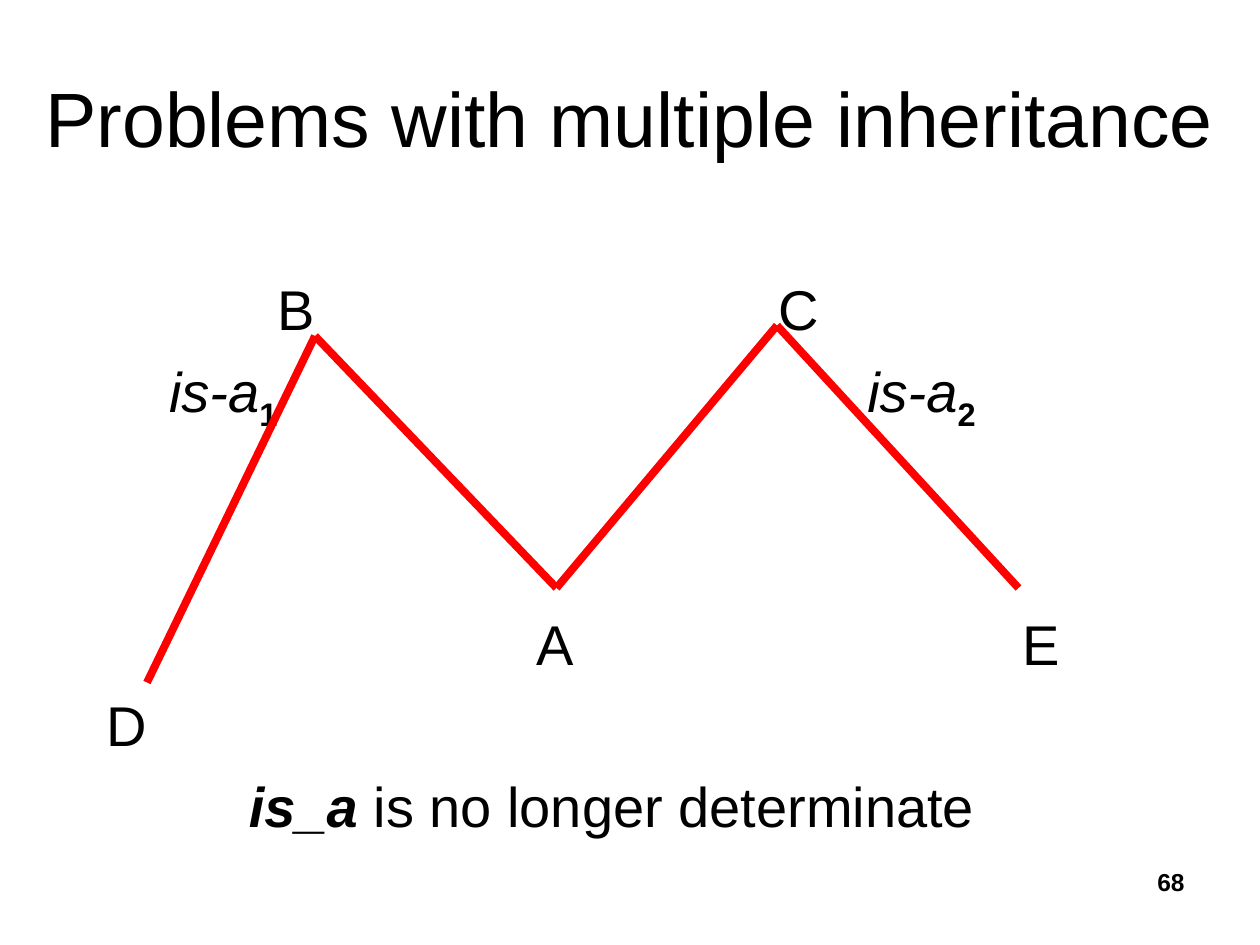
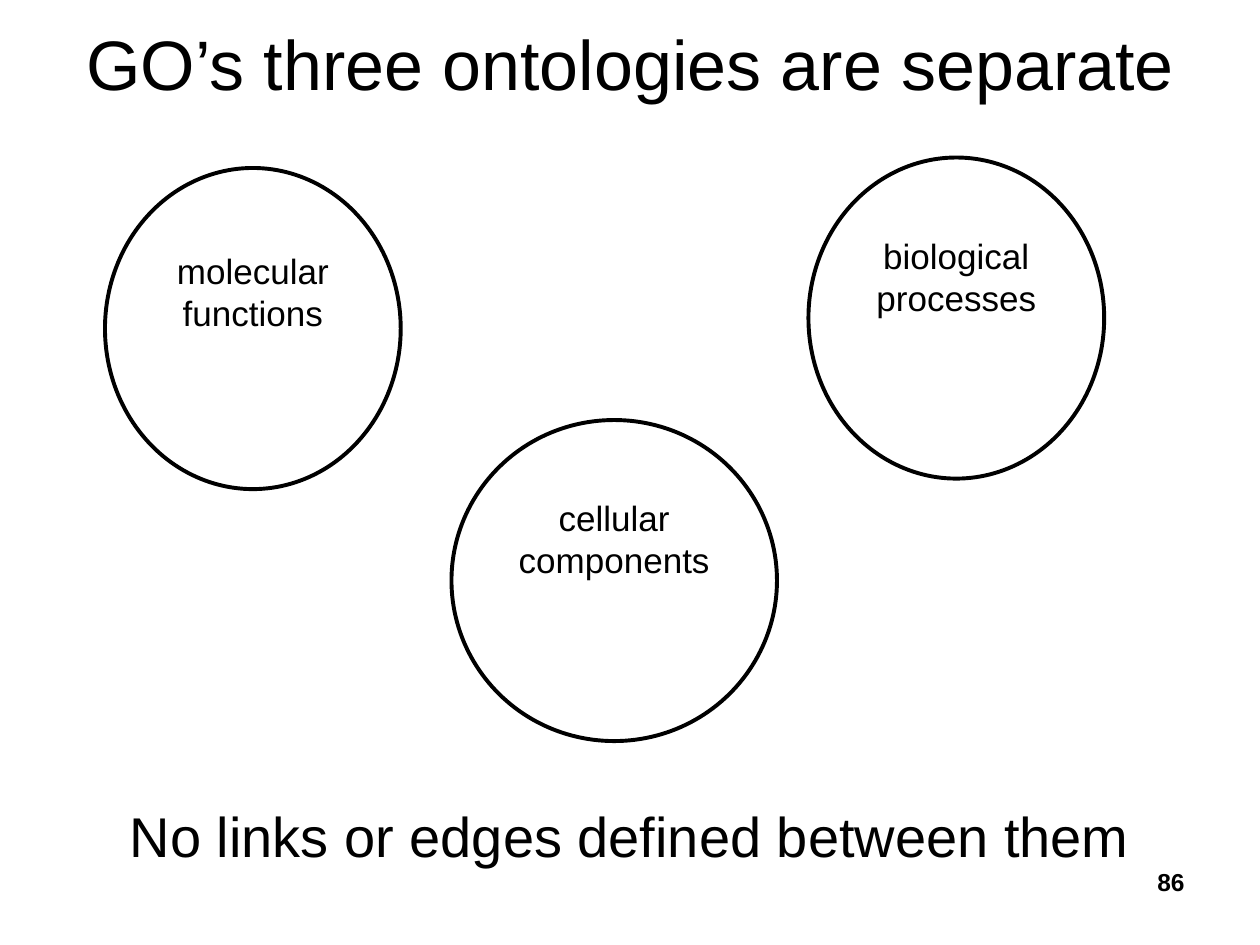
"""Build two slides: multiple inheritance problems and the separate GO ontologies."""
from pptx import Presentation
from pptx.dml.color import RGBColor
from pptx.enum.shapes import MSO_CONNECTOR as CONN, MSO_SHAPE as SHAPE
from pptx.enum.text import MSO_ANCHOR as ANCHOR, MSO_AUTO_SIZE as FIT, PP_ALIGN as ALIGN
from pptx.oxml.ns import qn
from pptx.util import Pt
from lxml.etree import SubElement

COLORS = {"text": "000000", "edge": "FF0000", "fill": "FFFFFF"}
RGB = {name: RGBColor.from_string(value) for name, value in COLORS.items()}
FONT = "Arial"


def place(sp, left, top, width, height):
    sp.left, sp.top, sp.width, sp.height = Pt(left), Pt(top), Pt(width), Pt(height)
    return sp


def write(tf, runs, size, align=ALIGN.LEFT, anchor=ANCHOR.TOP):
    tf.word_wrap, tf.auto_size, tf.vertical_anchor = True, FIT.NONE, anchor
    p = tf.paragraphs[0]
    p.alignment, p.space_before = align, Pt(0)
    for text, style in runs:
        r = p.add_run()
        r.text = text
        r.font.name, r.font.size = FONT, Pt(size)
        r.font.color.rgb = RGB["text"]
        r.font.bold, r.font.italic = "b" in style, "i" in style
        if "sub" in style:
            r.font._element.set("baseline", "-25000")
    return p


prs = Presentation()
prs.slide_width, prs.slide_height = Pt(720), Pt(540)

pages = [
    ("Problems with multiple inheritance", 44, (18, 21.6, 684, 90), "68",
     [("is_a ", "bi"), ("is no longer determinate", "")], (135, 437.5, 500, 46), ALIGN.LEFT),
    ("GO’s three ontologies are separate", 40, (36, 0, 648, 72), "86",
     [("No links or edges defined between them", "")], (36, 454.5, 648, 46), ALIGN.CENTER),
]
slides = []
for title, size, title_box, number, message, message_box, align in pages:
    s = prs.slides.add_slide(prs.slide_layouts[1])
    slides.append(s)
    sp = place(s.shapes.title, *title_box)
    write(sp.text_frame, [(title, "")], size, ALIGN.CENTER, ANCHOR.MIDDLE)

    sp = place(s.placeholders[1], *message_box)
    p = write(sp.text_frame, message, 32, align)
    pPr = p._p.get_or_add_pPr()
    pPr.set("marL", "0")
    pPr.set("indent", "0")
    SubElement(pPr, qn("a:buNone"))

    sp = s.shapes.add_textbox(Pt(516), Pt(492), Pt(168), Pt(37.5))
    write(sp.text_frame, [(number, "b")], 14, ALIGN.RIGHT)

inheritance, ontologies = slides

nodes = [("B", 169, 153.5), ("C", 456.5, 153.5), ("A", 317, 345), ("E", 595, 345), ("D", 72.5, 391)]
for name, center, top in nodes:
    sp = inheritance.shapes.add_textbox(Pt(center - 24), Pt(top), Pt(48), Pt(44))
    write(sp.text_frame, [(name, "")], 32, ALIGN.CENTER)

for index, left in (("1", 89.5), ("2", 488.5)):
    sp = inheritance.shapes.add_textbox(Pt(left), Pt(200), Pt(90), Pt(44))
    write(sp.text_frame, [("is-a", "i"), (index, "b sub")], 32)

ends = {"A": (318, 336), "B": (180, 192), "C": (444, 186), "D": (84, 390), "E": (582, 336)}
for start, end in ("BA", "CA", "BD", "CE"):
    edge = inheritance.shapes.add_connector(CONN.STRAIGHT, *map(Pt, ends[start] + ends[end]))
    edge.line.color.rgb, edge.line.width = RGB["edge"], Pt(4.5)
    SubElement(edge._element.spPr, qn("a:effectLst"))

circles = [
    ("molecular functions", 60, 96, 169, 19.5),
    ("cellular components", 258, 240, 186, 17),
    ("biological processes", 462, 90, 169, 17),
]
for text, left, top, width, inset in circles:
    sp = ontologies.shapes.add_shape(SHAPE.OVAL, Pt(left), Pt(top), Pt(width), Pt(183.5))
    sp.shadow.inherit = False
    sp.fill.solid()
    sp.fill.fore_color.rgb = RGB["fill"]
    sp.line.color.rgb, sp.line.width = RGB["text"], Pt(2.25)
    tf = sp.text_frame
    tf.margin_left = tf.margin_right = Pt(6.5)
    tf.margin_top, tf.margin_bottom = Pt(inset), Pt(3)
    write(tf, [(text, "")], 20, ALIGN.CENTER)

prs.save("out.pptx")
